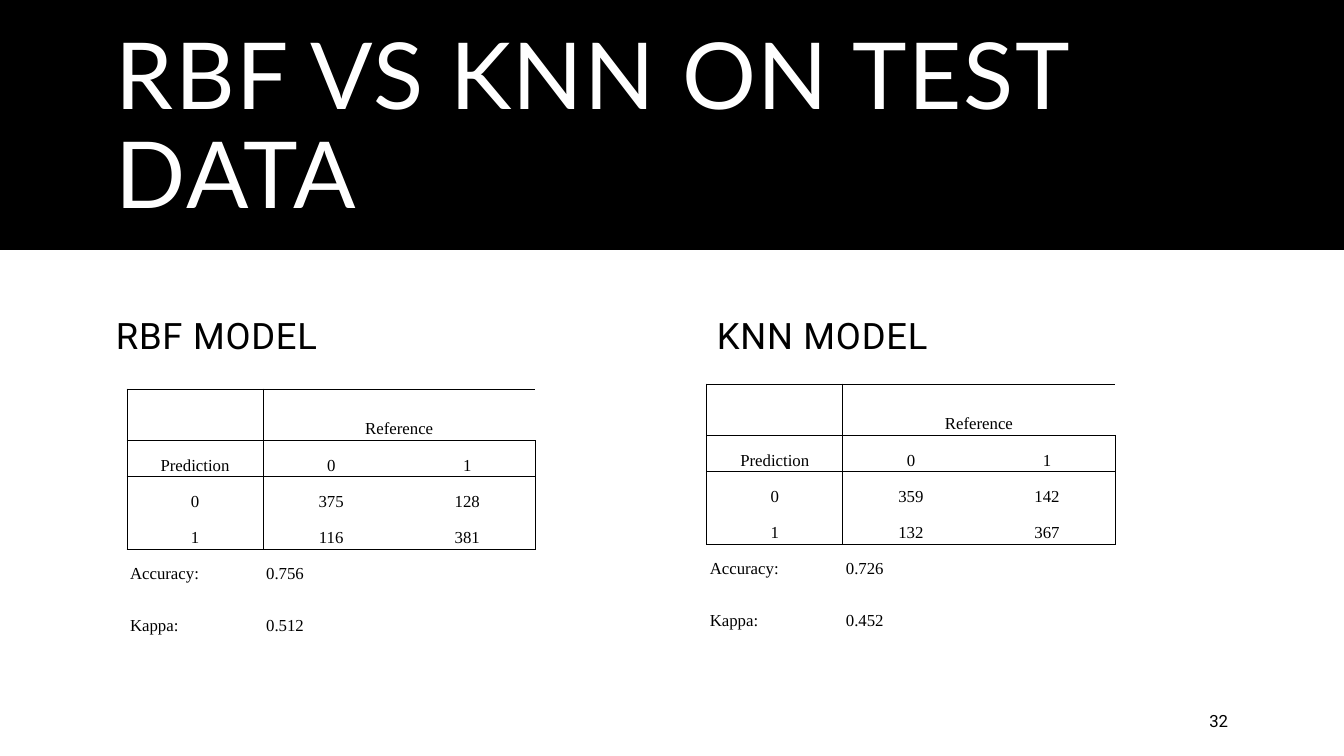
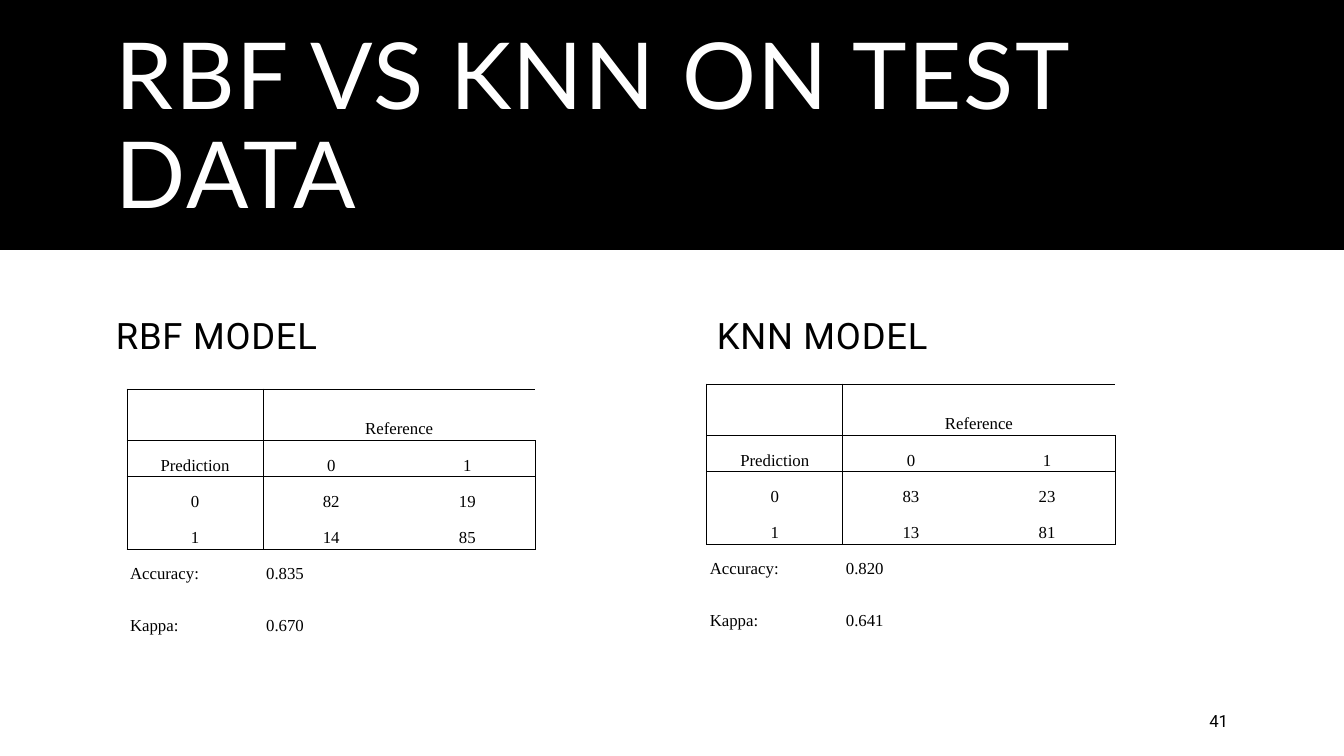
from lxml import etree
from pptx import Presentation
from pptx.dml.color import RGBColor
from pptx.enum.shapes import MSO_SHAPE
from pptx.enum.text import MSO_ANCHOR, MSO_AUTO_SIZE, PP_ALIGN
from pptx.oxml.ns import qn
from pptx.util import Inches, Pt

# Shared style
RECT = MSO_SHAPE.RECTANGLE
MIDDLE, BOTTOM = MSO_ANCHOR.MIDDLE, MSO_ANCHOR.BOTTOM
LEFT, CENTER, RIGHT = PP_ALIGN.LEFT, PP_ALIGN.CENTER, PP_ALIGN.RIGHT
NO_AUTOFIT = MSO_AUTO_SIZE.NONE
BLACK = RGBColor(0x00, 0x00, 0x00)
WHITE = RGBColor(0xFF, 0xFF, 0xFF)
TITLE_FONT, BODY_FONT, TABLE_FONT = "Lato", "Roboto", "Times New Roman"
SLIDE_W, SLIDE_H = 13.33, 7.5
COMPARISON_LAYOUT = 4

# Confusion table: a line runs wherever two neighbouring cells
# belong to different blocks; a space is an unframed cell
BLOCKS = ["ABB", "CDD", "EFF", "EFF", "   ", "   "]
ROW_HEIGHTS = [0.51, 0.36, 0.36, 0.36, 0.36, 0.51]
COL_WIDTH = 1.35
FRAMED_ROWS = 4
SIDES = [("L", 0, -1), ("R", 0, 1), ("T", -1, 0), ("B", 1, 0)]

# Columns: heading, heading left, table left, table top
COLUMNS = [("RBF MODEL", 1.05, 1.26, 3.86), ("KNN MODEL", 7.01, 7.01, 3.81)]

# Per slide: number, then counts (two rows), accuracy and kappa per model
SLIDES = [
    ("32", [([("375", "128"), ("116", "381")], "0.756", "0.512"),
            ([("359", "142"), ("132", "367")], "0.726", "0.452")]),
    ("41", [([("82", "19"), ("14", "85")], "0.835", "0.670"),
            ([("83", "23"), ("13", "81")], "0.820", "0.641")]),
]


def place(sp, left, top, width, height):
    sp.left, sp.top = Inches(left), Inches(top)
    sp.width, sp.height = Inches(width), Inches(height)


def add_text(p, text, font, size, color=BLACK, align=LEFT, spacing=None):
    p.alignment = align
    r = p.add_run()
    r.text = text
    r.font.name, r.font.size, r.font.bold = font, Pt(size), False
    r.font.color.rgb = color
    if spacing:
        r.font._element.set("spc", str(round(spacing * 100)))


def middle_frame(sp):
    tf = sp.text_frame
    tf.word_wrap = True
    tf.auto_size = NO_AUTOFIT
    tf.vertical_anchor = MIDDLE
    return tf.paragraphs[0]


def add_title(slide, text):
    sp = slide.shapes.title
    place(sp, 1.05, 0.35, 11.23, 1.86)
    p = middle_frame(sp)
    p.line_spacing = 0.9
    add_text(p, text, TITLE_FONT, 66, WHITE, spacing=1.2)


def add_heading(sp, text, left):
    place(sp, left, 2.83, 5.27, 0.98)
    p = middle_frame(sp)
    p.line_spacing = 1.01
    p.space_before = p.space_after = Pt(7)
    add_text(p, text, BODY_FONT, 26, spacing=0.5)


def add_number(slide, number):
    sp = slide.shapes.add_textbox(
        Inches(11.26), Inches(6.95), Inches(1.02), Inches(0.4))
    add_text(middle_frame(sp), number, BODY_FONT, 12, align=RIGHT)


def block_at(row, col):
    inside = 0 <= row < len(BLOCKS) and 0 <= col < len(BLOCKS[0])
    return BLOCKS[row][col] if inside else " "


def set_borders(cell, row, col):
    tcPr = cell._tc.get_or_add_tcPr()
    for side, d_row, d_col in SIDES:
        ln = etree.SubElement(tcPr, qn("a:ln" + side), w=str(Pt(0.75)))
        if block_at(row, col) != block_at(row + d_row, col + d_col):
            fill = etree.SubElement(ln, qn("a:solidFill"))
            etree.SubElement(fill, qn("a:srgbClr"), val=str(BLACK))
        else:
            etree.SubElement(ln, qn("a:noFill"))


def add_confusion_table(slide, left, top, counts, accuracy, kappa):
    rows = [("", "Reference", ""), ("Prediction", "0", "1"),
            ("0", *counts[0]), ("1", *counts[1]),
            ("Accuracy:", accuracy, ""), ("Kappa:", kappa, "")]
    n_cols = len(rows[0])
    table = slide.shapes.add_table(
        len(rows), n_cols, Inches(left), Inches(top),
        Inches(COL_WIDTH * n_cols), Inches(sum(ROW_HEIGHTS))).table
    table.first_row = table.horz_banding = False
    for column in table.columns:
        column.width = Inches(COL_WIDTH)
    for i, texts in enumerate(rows):
        table.rows[i].height = Inches(ROW_HEIGHTS[i])
        for j, text in enumerate(texts):
            cell = table.cell(i, j)
            cell.margin_left = cell.margin_right = Inches(0.03)
            cell.margin_top = cell.margin_bottom = Inches(0.02)
            cell.vertical_anchor = BOTTOM
            set_borders(cell, i, j)
            cell.fill.background()
            if text:
                add_text(cell.text_frame.paragraphs[0], text, TABLE_FONT, 12,
                         align=CENTER if i < FRAMED_ROWS else LEFT)
    table.cell(0, 1).merge(table.cell(0, 2))


def move_band_to_layout(slide):
    """Draw the title band and hand it to the layout, behind everything."""
    sp = slide.shapes.add_shape(RECT, 0, 0, Inches(SLIDE_W), Inches(2.48))
    sp.shadow.inherit = False
    sp.fill.solid()
    sp.fill.fore_color.rgb = BLACK
    sp.line.fill.background()
    sp.element.nvSpPr.cNvPr.set("id", "20")
    slide.slide_layout.shapes.element.insert(2, sp.element)


def add_comparison_slide(prs, number, models):
    slide = prs.slides.add_slide(prs.slide_layouts[COMPARISON_LAYOUT])
    add_title(slide, "RBF VS KNN ON TEST DATA")
    _, left_head, left_body, right_head, right_body = slide.placeholders
    for sp in (left_body, right_body):
        sp.element.getparent().remove(sp.element)
    for sp, column, model in zip((left_head, right_head), COLUMNS, models):
        heading, head_left, table_left, table_top = column
        add_heading(sp, heading, head_left)
        add_confusion_table(slide, table_left, table_top, *model)
    add_number(slide, number)
    return slide


def main():
    prs = Presentation()
    prs.slide_width, prs.slide_height = Inches(SLIDE_W), Inches(SLIDE_H)
    slides = [add_comparison_slide(prs, *content) for content in SLIDES]
    move_band_to_layout(slides[0])
    prs.save("out.pptx")


if __name__ == "__main__":
    main()
